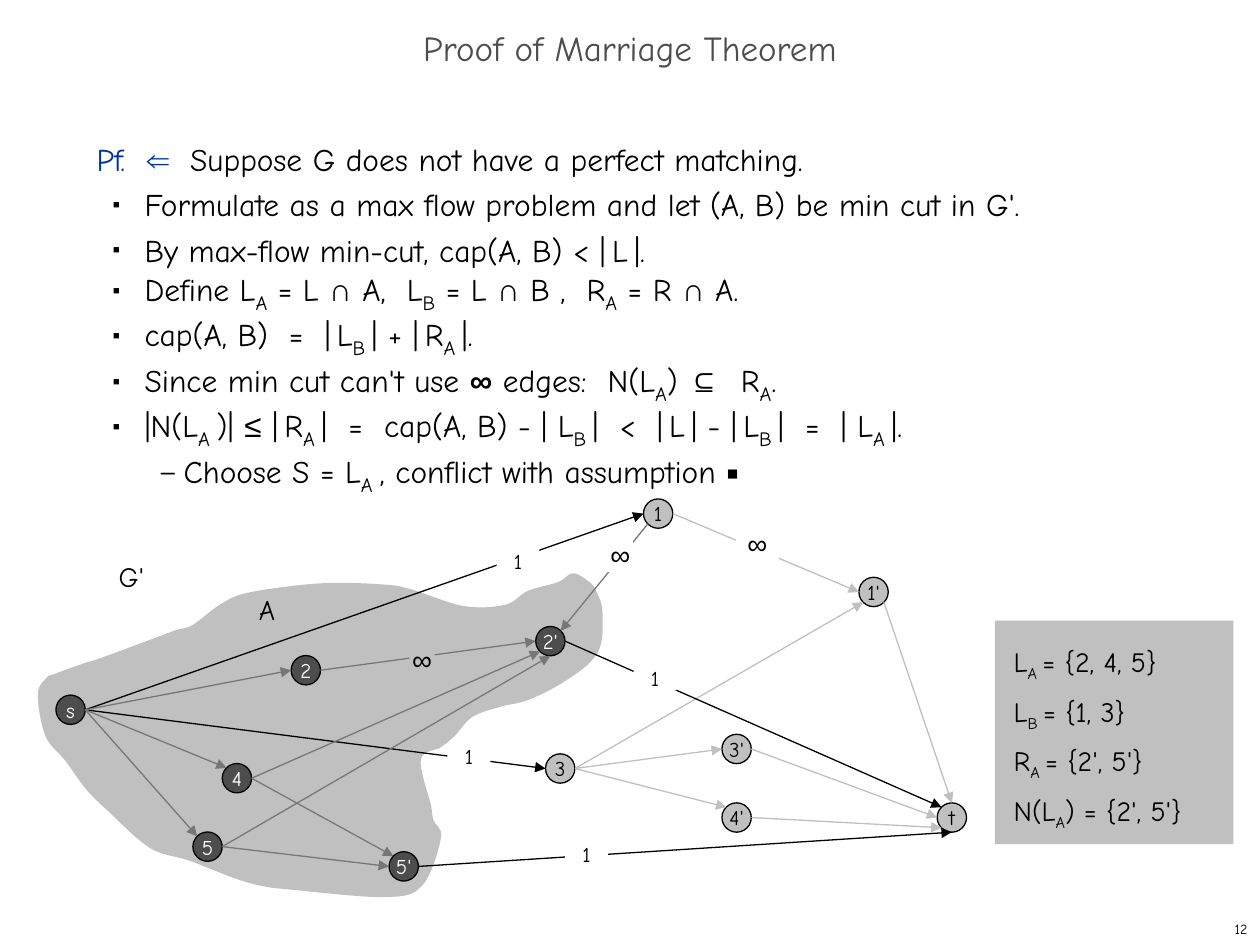
from dataclasses import dataclass
from itertools import groupby

from lxml.etree import SubElement
from pptx import Presentation
from pptx.dml.color import RGBColor
from pptx.enum.shapes import MSO_CONNECTOR, MSO_SHAPE
from pptx.enum.text import MSO_ANCHOR as Anchor, MSO_AUTO_SIZE as AutoSize, PP_ALIGN as Align
from pptx.oxml.ns import qn
from pptx.util import Emu, Inches, Pt

BLACK = RGBColor(0x00, 0x00, 0x00)
WHITE = RGBColor(0xFF, 0xFF, 0xFF)
BLUE = RGBColor(0x00, 0x33, 0x99)
DARK = RGBColor(0x4D, 0x4D, 0x4D)
MIDDLE = RGBColor(0x77, 0x77, 0x77)
LIGHT = RGBColor(0xC0, 0xC0, 0xC0)
FONT, SYMBOL_FONT, SYMBOLS = "Comic Neue", "Arial", "⇐∩∞⊆≤"
SUBSCRIPT, RAISED_SPACE, LINE_BREAK = "_", "~", "\n"
COLUMNS, ROWS = 100, 75
WIDTH, HEIGHT = Inches(10), Inches(7.5)
NODE_SIZE = 2.33
PORTS = {"n": (0.5, 0), "e": (1, 0.5), "s": (0.5, 1), "w": (0, 0.5),
         "nw": (0.15, 0.15), "ne": (0.85, 0.15), "sw": (0.15, 0.85), "se": (0.85, 0.85)}


@dataclass
class Node:
    name: str
    column: float
    row: float
    in_cut: bool = False

    def port(self, side: str) -> tuple:
        across, down = PORTS[side]
        return self.column + across * NODE_SIZE, self.row + down * NODE_SIZE


@dataclass
class Edge:
    start: str
    end: str
    side: str
    color: RGBColor
    start_side: str = "e"


@dataclass
class Label:
    text: str
    column: float
    row: float
    width: float = 3.4
    height: float = 2
    size: int = 12
    fill: RGBColor | None = WHITE


@dataclass
class Bullet:
    text: str
    level: int = 1
    mark: str = "■"
    percent: int = 35
    margin: float = 0.38
    hanging: float = 0.25


NODES = [
    Node("s", 4.44, 55.17, True), Node("2", 23.11, 52.03, True), Node("4", 17.64, 60.6, True),
    Node("5", 15.31, 66.03, True), Node("2'", 42.52, 49.72, True), Node("5'", 30.88, 67.6, True),
    Node("1", 51.07, 39.6), Node("3", 43.3, 59.83), Node("1'", 68.17, 45.82),
    Node("3'", 57.3, 58.28), Node("4'", 57.3, 63.72), Node("t", 74.38, 63.72),
]
EDGES = [
    Edge("s", "1", "w", BLACK), Edge("s", "3", "w", BLACK), Edge("s", "2", "w", MIDDLE),
    Edge("s", "4", "nw", MIDDLE), Edge("s", "5", "nw", MIDDLE),
    Edge("1", "1'", "w", LIGHT), Edge("1", "2'", "ne", MIDDLE, "sw"),
    Edge("2", "2'", "w", MIDDLE), Edge("4", "2'", "sw", MIDDLE), Edge("5", "2'", "s", MIDDLE),
    Edge("4", "5'", "nw", MIDDLE), Edge("5", "5'", "w", MIDDLE),
    Edge("3", "1'", "sw", LIGHT), Edge("3", "3'", "w", LIGHT), Edge("3", "4'", "nw", LIGHT),
    Edge("1'", "t", "n", LIGHT, "se"), Edge("2'", "t", "nw", BLACK), Edge("3'", "t", "w", LIGHT),
    Edge("4'", "t", "sw", LIGHT), Edge("5'", "t", "s", BLACK),
]
LABELS = [
    Label("1", 39.42, 43.5), Label("1", 35.52, 59), Label("1", 44.85, 66.8), Label("1", 50.3, 52.8),
    Label("∞", 58.4, 41.8, height=2.7, size=16),
    Label("∞", 48.24, 42.7, 2, 2.7, 16),
    Label("∞", 32.5, 51, 2, 2.7, 16, LIGHT),
    Label("A", 19.5, 47.05, height=2.7, size=16, fill=None),
]
BULLETS = [
    Bullet("Formulate as a max flow problem and let (A, B) be min cut in G'."),
    Bullet("By max-flow min-cut, cap(A, B) < |~L~|."),
    Bullet("Define L_A_ = L ∩ A,  L_B_ = L ∩ B ,  R_A_ = R ∩ A."),
    Bullet("cap(A, B)  =  |~L_B_~| + |~R_A_~|."),
    Bullet("Since min cut can't use ∞ edges:  N(L_A_) ⊆  R_A_."),
    Bullet("|N(L_A _)| ≤ |~R_A_~|  =  cap(A, B) - | L_B_~|  <  |~L~| - |~L_B_~|  =  | L_A_~|."),
    Bullet("Choose S = L_A _, conflict with assumption ▪", 2, "–", 80, 0.69, 0.18),
]
LEGEND = "L_A _= {2, 4, 5}\nL_B _= {1, 3}\nR_A _= {2', 5'}\nN(L_A_) = {2', 5'}"
CUT_OUTLINE = [
    (45.5, 45.5), (46.9, 46.3), (47.4, 47.1), (47.8, 48.4), (47.7, 51.1), (46.7, 52.7),
    (44.3, 54.4), (41.8, 55.6), (39.7, 56.1), (37.5, 56.9), (36.1, 58.4), (35, 59.3),
    (33.4, 60.3), (34.2, 63.9), (34.4, 65.1), (35, 66.5), (33.5, 70.3),
    (30.5, 71.2), (23, 70.6), (20.7, 70.3), (18.6, 69.7), (15, 68.3), (11.9, 67.3),
    (8.5, 64.3), (6.8, 62.6), (5.2, 60.4), (3.6, 58.4), (3, 55.1), (3.7, 53.8), (4.3, 53.5),
    (6.8, 52.6), (7.8, 52.3), (12.4, 50.6), (14, 50), (15.3, 49.6), (17.6, 47.9), (19.9, 47),
    (25.5, 46.3), (30.5, 46.4), (32.7, 46.8), (36.8, 48.1), (40.1, 48),
    (41.9, 46.9), (44.3, 46.2),
]


def grid_x(column: float) -> Emu:
    return Emu(round(column * WIDTH / COLUMNS))


def grid_y(row: float) -> Emu:
    return Emu(round(row * HEIGHT / ROWS))


def box(column: float, row: float, width: float, height: float) -> tuple:
    return grid_x(column), grid_y(row), grid_x(width), grid_y(height)


def letter_kind(letter: str) -> str:
    if letter in (RAISED_SPACE, LINE_BREAK):
        return letter
    return SYMBOL_FONT if letter in SYMBOLS else FONT


def write(paragraph, text: str, *, size=16, subscript_size=None, color=BLACK, align=Align.LEFT,
          spacing=None, bold_symbols="") -> None:
    paragraph.alignment = align
    paragraph.space_before = Pt(0)
    paragraph.line_spacing = spacing
    for index, piece in enumerate(text.split(SUBSCRIPT)):
        subscript = index % 2 == 1
        for kind, letters in groupby(piece, key=letter_kind):
            if kind == LINE_BREAK:
                paragraph.add_line_break()
                SubElement(paragraph._p[-1], qn("a:rPr"), sz=str(size * 100))
                continue
            run = paragraph.add_run()
            run.text = "".join(letters).replace(RAISED_SPACE, " ")
            run.font.name = SYMBOL_FONT if kind == SYMBOL_FONT else FONT
            run.font.size = Pt(subscript_size or size) if subscript else Pt(size)
            run.font.bold = run.text in bold_symbols
            run.font.color.rgb = color
            if subscript or kind == RAISED_SPACE:
                run._r.get_or_add_rPr().set("baseline", "-25000" if subscript else "30000")


def set_frame(shape, margins=(0.1, 0.05), anchor=Anchor.TOP, wrap=True):
    frame = shape.text_frame
    frame.auto_size = AutoSize.NONE
    frame.word_wrap = wrap
    frame.vertical_anchor = anchor
    frame.margin_left = frame.margin_right = Inches(margins[0])
    frame.margin_top = frame.margin_bottom = Inches(margins[1])
    return frame


def paint(shape, fill: RGBColor | None, outlined=False) -> None:
    shape.shadow.inherit = False
    if fill is None:
        shape.fill.background()
    else:
        shape.fill.solid()
        shape.fill.fore_color.rgb = fill
    if outlined:
        shape.line.color.rgb = BLACK
        shape.line.width = Pt(0.75)
    else:
        shape.line.fill.background()


def set_bullet(paragraph, bullet: Bullet) -> None:
    paragraph.level = bullet.level
    properties = paragraph._p.get_or_add_pPr()
    properties.set("marL", str(Inches(bullet.margin)))
    properties.set("indent", str(-Inches(bullet.hanging)))
    SubElement(SubElement(properties, qn("a:buClr")), qn("a:srgbClr"), val=str(BLACK))
    SubElement(properties, qn("a:buSzPct"), val=str(bullet.percent * 1000))
    SubElement(properties, qn("a:buFont"), typeface=SYMBOL_FONT)
    SubElement(properties, qn("a:buChar"), char=bullet.mark)


def fill_placeholders(slide) -> None:
    title, body = slide.shapes.title, slide.placeholders[1]
    title.left, title.top, title.width, title.height = box(0, 1.7, 100, 5)
    write(set_frame(title, anchor=Anchor.MIDDLE).paragraphs[0], "Proof of Marriage Theorem",
          size=20, color=DARK, align=Align.CENTER, spacing=0.7)
    body.left, body.top, body.width, body.height = box(6.67, 10, 85.8, 59.2)
    frame = set_frame(body)
    opening = frame.paragraphs[0]
    properties = opening._p.get_or_add_pPr()
    properties.set("marL", "0")
    properties.set("indent", "0")
    SubElement(properties, qn("a:buNone"))
    write(opening, "Pf.  ⇐  ", size=18, color=BLUE, spacing=Pt(26))
    write(opening, "Suppose G does not have a perfect matching.", size=18, spacing=Pt(26))
    for bullet in BULLETS:
        paragraph = frame.add_paragraph()
        set_bullet(paragraph, bullet)
        write(paragraph, bullet.text, size=18, subscript_size=20, spacing=Pt(26), bold_symbols="∞")


def draw_cut(slide) -> None:
    points = [(grid_x(column), grid_y(row)) for column, row in CUT_OUTLINE]
    builder = slide.shapes.build_freeform(*points[0])
    builder.add_line_segments(points[1:] + points[:1], close=True)
    shape = builder.convert_to_shape()
    paint(shape, LIGHT)
    for index, segment in enumerate(list(shape._element.iter(qn("a:lnTo")))):
        before, start, end, after = (points[(index + k) % len(points)] for k in (-1, 0, 1, 2))
        controls = [[s + (e - b) / 6 for b, s, e in zip(before, start, end)],
                    [e - (a - s) / 6 for s, e, a in zip(start, end, after)]]
        segment.tag = qn("a:cubicBezTo")
        for order, (x, y) in enumerate(controls):
            control = segment.makeelement(qn("a:pt"), x=str(round(x - shape.left)),
                                          y=str(round(y - shape.top)))
            segment.insert(order, control)


def draw_node(slide, node: Node) -> None:
    shape = slide.shapes.add_shape(MSO_SHAPE.OVAL, *box(node.column, node.row, NODE_SIZE, NODE_SIZE))
    paint(shape, DARK if node.in_cut else LIGHT, outlined=True)
    frame = set_frame(shape, anchor=Anchor.MIDDLE, wrap=False)
    write(frame.paragraphs[0], node.name, size=12, color=WHITE if node.in_cut else BLACK,
          align=Align.CENTER)


def draw_edge(slide, edge: Edge, nodes: dict) -> None:
    x1, y1 = nodes[edge.start].port(edge.start_side)
    x2, y2 = nodes[edge.end].port(edge.side)
    connector = slide.shapes.add_connector(
        MSO_CONNECTOR.STRAIGHT, grid_x(x1), grid_y(y1), grid_x(x2), grid_y(y2))
    connector.line.color.rgb = edge.color
    connector.line.width = Pt(0.75)
    SubElement(connector.line._get_or_add_ln(), qn("a:tailEnd"), type="triangle")
    SubElement(connector._element.spPr, qn("a:effectLst"))


def draw_label(slide, label: Label) -> None:
    area = box(label.column, label.row, label.width, label.height)
    if label.fill is None:
        shape = slide.shapes.add_textbox(*area)
    else:
        shape = slide.shapes.add_shape(MSO_SHAPE.RECTANGLE, *area)
        paint(shape, label.fill)
    write(set_frame(shape, margins=(0, 0)).paragraphs[0], label.text, size=label.size,
          align=Align.CENTER)


def main() -> None:
    presentation = Presentation()
    presentation.slide_width, presentation.slide_height = WIDTH, HEIGHT
    slide = presentation.slides.add_slide(presentation.slide_layouts[1])
    fill_placeholders(slide)
    legend = slide.shapes.add_shape(MSO_SHAPE.RECTANGLE, *box(78.95, 49.25, 18.95, 17.75))
    paint(legend, LIGHT)
    write(set_frame(legend, margins=(0.15, 0.1)).paragraphs[0], LEGEND, spacing=1.3)
    draw_cut(slide)
    nodes = {node.name: node for node in NODES}
    for node in NODES:
        draw_node(slide, node)
    for edge in EDGES:
        draw_edge(slide, edge, nodes)
    for label in LABELS:
        draw_label(slide, label)
    graph_name = slide.shapes.add_textbox(*box(8.44, 43.9, 4, 3.7))
    write(set_frame(graph_name, wrap=False).paragraphs[0], "G'")
    number = slide.shapes.add_textbox(*box(79.2, 72.5, 20.8, 2.5))
    write(set_frame(number, anchor=Anchor.MIDDLE).paragraphs[0], "12", size=8, align=Align.RIGHT)
    presentation.save("out.pptx")


if __name__ == "__main__":
    main()
